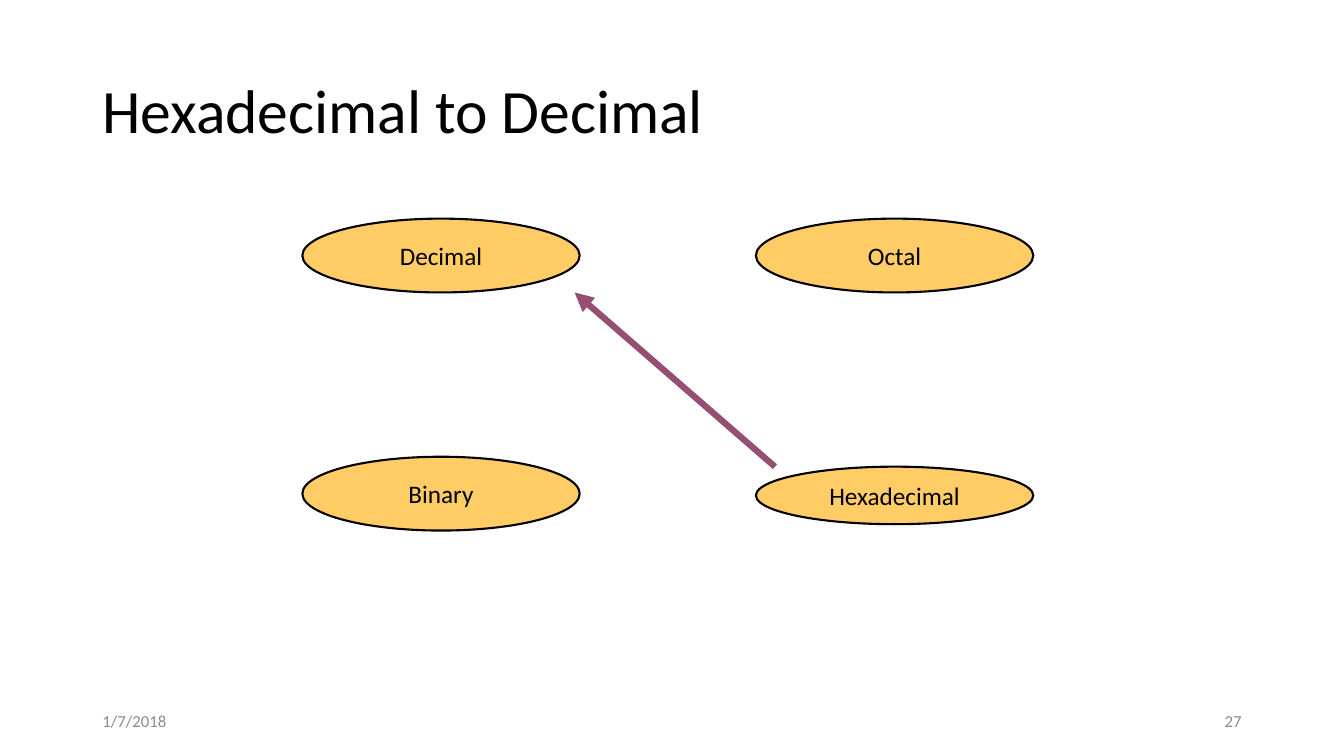
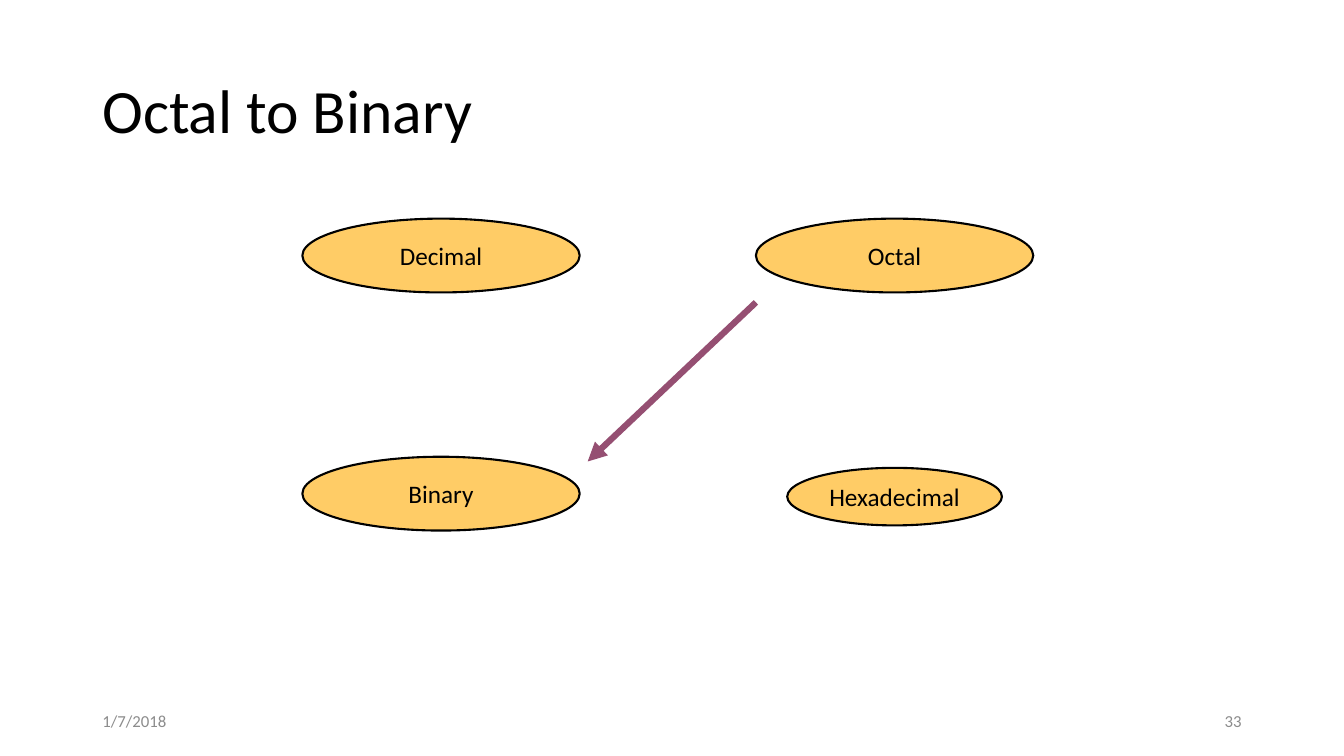
from lxml import etree
from pptx import Presentation
from pptx import util as u
from pptx.dml.color import RGBColor
from pptx.enum import shapes, text
from pptx.oxml import ns

COLOURS = {"ink": "000000", "node": "FFCC66", "arrow": "954F72", "footer": "8C8C8C"}
FONT = "Calibri"
DATE = "1/7/2018"
MARGIN, CONTENT_WIDTH = 2.33, 29.21
NODE_WIDTH, NODE_HEIGHT = 6.99, 1.86
COLUMN_STEP, ROW_STEP = 11.43, 6
NODES = {"Decimal": (0, 0), "Octal": (1, 0), "Binary": (0, 1)}

SLIDES = [
    {"title": "Hexadecimal to Decimal", "number": "27", "hex_top": 6.25,
     "hex_width": NODE_WIDTH, "start": (11.91, 6.25), "end": (6.86, 1.86)},
    {"title": "Octal to Binary", "number": "33", "hex_top": 6.28,
     "hex_width": 5.41, "start": (11.43, 2.11), "end": (7.19, 6.12)},
]


def colour(name):
    """Return the named palette colour."""
    return RGBColor.from_string(COLOURS[name])


def write(box, words, size=18, ink="ink", align=text.PP_ALIGN.LEFT, wrap=True, spacing=None):
    """Put one formatted, vertically centred paragraph into a shape."""
    frame = box.text_frame
    frame.word_wrap = wrap
    frame.vertical_anchor = text.MSO_ANCHOR.MIDDLE
    para = frame.paragraphs[0]
    para.alignment = align
    para.line_spacing = spacing
    span = para.add_run()
    span.text = words
    span.font.name = FONT
    span.font.size = u.Pt(size)
    span.font.color.rgb = colour(ink)


def add_label(page, left, top, width, height, words, **style):
    """Add a text box with formatted text."""
    box = page.shapes.add_textbox(u.Cm(left), u.Cm(top), u.Cm(width), u.Cm(height))
    write(box, words, **style)


def add_node(page, left, top, words, width=NODE_WIDTH, height=NODE_HEIGHT):
    """Add an outlined ellipse naming a number system."""
    node = page.shapes.add_shape(shapes.MSO_SHAPE.OVAL, u.Cm(left), u.Cm(top),
                                 u.Cm(width), u.Cm(height))
    node.shadow.inherit = False
    node.fill.solid()
    node.fill.fore_color.rgb = colour("node")
    node.line.color.rgb = colour("ink")
    node.line.width = u.Pt(1.5)
    write(node, words, align=text.PP_ALIGN.CENTER, wrap=False)


def add_arrow(page, start, end):
    """Add a thick straight arrow between two points."""
    arrow = page.shapes.add_connector(shapes.MSO_CONNECTOR.STRAIGHT,
                                      *(u.Cm(value) for value in (*start, *end)))
    arrow.line.color.rgb = colour("arrow")
    arrow.line.width = u.Pt(4.5)
    etree.SubElement(arrow.line._get_or_add_ln(), ns.qn("a:tailEnd"), type="triangle")
    etree.SubElement(arrow._element.spPr, ns.qn("a:effectLst"))


def add_diagram(page, left, top, hex_top, hex_width, start, end):
    """Place the four number systems and the conversion arrow."""
    hex_left = left + COLUMN_STEP + (NODE_WIDTH - hex_width) / 2
    add_node(page, hex_left, top + hex_top, "Hexadecimal", width=hex_width, height=1.45)
    for words, (column, row) in NODES.items():
        add_node(page, left + column * COLUMN_STEP, top + row * ROW_STEP, words)
    add_arrow(page, *((left + x, top + y) for x, y in (start, end)))


def add_footer(page, left, top, width, number):
    """Place the date at the left and the slide number at the right."""
    part = 7.62
    style = {"size": 12, "ink": "footer"}
    add_label(page, left + width - part, top, part, 1.01, number,
              align=text.PP_ALIGN.RIGHT, **style)
    add_label(page, left, top, part, 1.01, DATE, **style)


def add_conversion_slide(deck, title, number, **diagram):
    """Add a slide with title, conversion diagram and footer."""
    page = deck.slides.add_slide(deck.slide_layouts[6])
    add_label(page, MARGIN, 1.01, CONTENT_WIDTH, 3.68, title, size=44, spacing=0.9)
    add_diagram(page, 7.62, 5.51, **diagram)
    add_footer(page, MARGIN, 17.66, CONTENT_WIDTH, number)


def main():
    """Build and save the deck."""
    deck = Presentation()
    deck.slide_width, deck.slide_height = u.Cm(33.87), u.Cm(19.05)
    for content in SLIDES:
        add_conversion_slide(deck, **content)
    deck.save("out.pptx")


if __name__ == "__main__":
    main()
